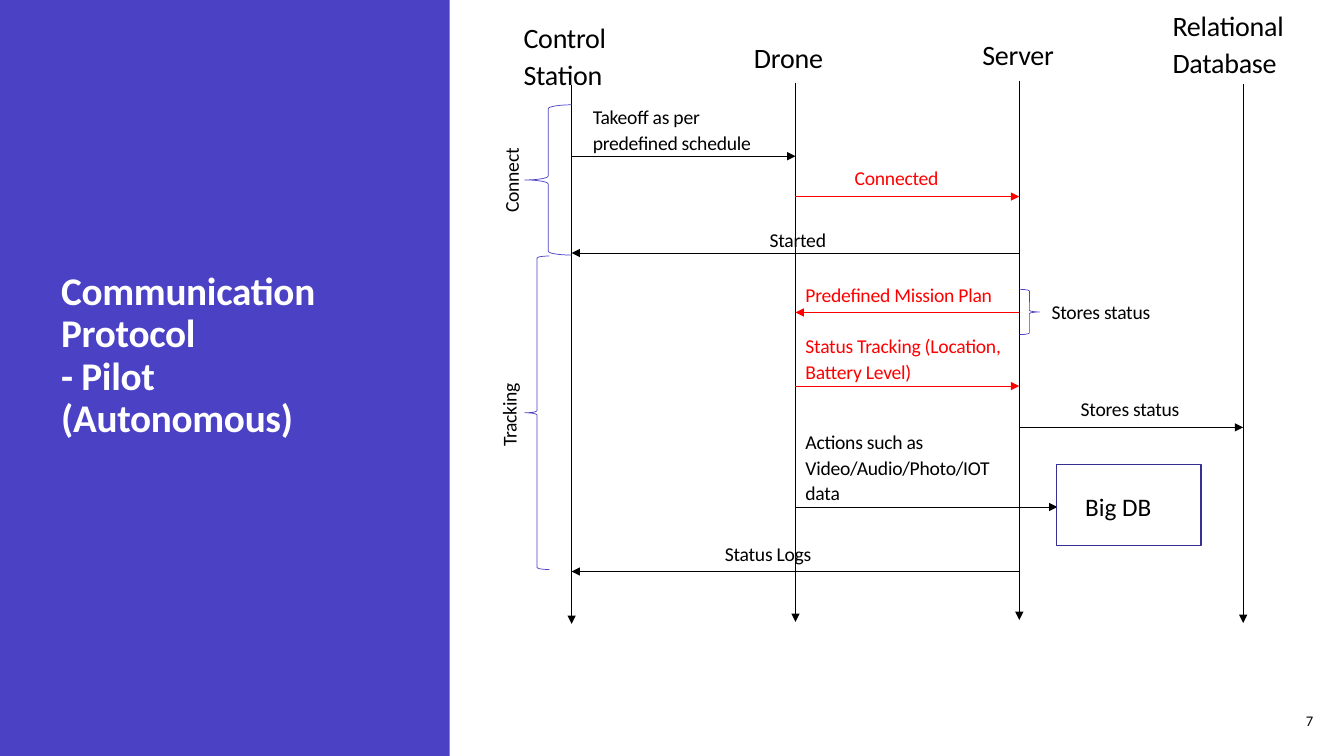
import pptx
import pptx.dml.color
import pptx.enum.shapes
import pptx.enum.text
import pptx.oxml
import pptx.oxml.ns
import pptx.util
from dataclasses import dataclass

SHAPES = pptx.enum.shapes.MSO_SHAPE
ALIGN = pptx.enum.text.PP_ALIGN
ANCHOR = pptx.enum.text.MSO_ANCHOR
AUTOSIZE = pptx.enum.text.MSO_AUTO_SIZE


@dataclass(frozen=True)
class Theme:
    font: str = "Calibri"
    panel: str = "4A41C5"
    box_line: str = "373092"
    ink: str = "000000"
    accent: str = "FF0000"
    paper: str = "FFFFFF"
    title: float = 28
    header: float = 20
    box: float = 18
    label: float = 14
    number: float = 10.5
    hairline: float = 0.5


THEME = Theme()
WIDTH, HEIGHT = 13.33, 7.5
FIRST_LANE, LANE = 5.67, 2.22
ROW = HEIGHT / 75

HEADERS = [
    ("Control Station", -0.26, 1.2, 0.59, 2),
    ("Drone", 0.77, 3.2, 0.45, 1),
    ("Server", 1.79, 2.9, 0.45, 1),
    ("Relational Database", 2.64, 0, 0.69, 2),
]
LIFELINE_TOPS = [8.4, 8.2, 8, 8.3]
LIFELINE_ROWS = 53.5
MESSAGES = [
    (0, 1, 15.5, THEME.ink),
    (1, 2, 19.5, THEME.accent),
    (2, 0, 25.1, THEME.ink),
    (2, 1, 31, THEME.accent),
    (1, 2, 38.3, THEME.accent),
    (2, 3, 42.4, THEME.ink),
    (1, 2.17, 50.3, THEME.ink),
    (2, 0, 56.7, THEME.ink),
]
LABELS = [
    ("Takeoff as per predefined schedule", 0.05, 9.7, 0.94, 2, THEME.ink, 0),
    ("Connected", 1.22, 15.7, 0.54, 1, THEME.accent, 0),
    ("Started", 0.84, 21.9, 0.44, 1, THEME.ink, 0),
    ("Predefined Mission Plan", 1, 27.3, 1.05, 1, THEME.accent, 0),
    ("Status Tracking (Location, Battery Level)", 1, 32.4, 1.05, 2, THEME.accent, 0),
    ("Stores status", 2.1, 29, 0.58, 1, THEME.ink, 0),
    ("Stores status", 2.23, 38.7, 0.58, 1, THEME.ink, 0),
    ("Actions such as Video/Audio/Photo/IOT data", 1, 41.9, 1.05, 3, THEME.ink, 0),
    ("Status Logs", 0.64, 53, 0.58, 1, THEME.ink, 0),
    ("Connect", -0.5, 15.5, 0.44, 1, THEME.ink, 270),
    ("Tracking", -0.51, 38.7, 0.44, 1, THEME.ink, 270),
]
BRACES = [
    (SHAPES.LEFT_BRACE, -0.21, 10.4, 0.21, 14.9),
    (SHAPES.LEFT_BRACE, -0.21, 25.4, 0.11, 31.1),
    (SHAPES.RIGHT_BRACE, 2, 28.7, 0.09, 4.5),
]


def lane_x(lane):
    return pptx.util.Inches(FIRST_LANE + LANE * lane)


def row_y(row):
    return pptx.util.Inches(ROW * row)


def lane_frame(lane, row, lanes, rows):
    return lane_x(lane), row_y(row), pptx.util.Inches(LANE * lanes), row_y(rows)


def share_frame(*shares):
    return [pptx.util.Inches(share * side) for share, side in zip(shares, (WIDTH, HEIGHT) * 2)]


def text_rows(lines, size):
    return (0.08 + lines * size * 0.0184) / ROW


def rgb(colour):
    return pptx.dml.color.RGBColor.from_string(colour)


def set_attributes(target, values):
    for name, value in values.items():
        setattr(target, name, value)


def place(shape, frame):
    set_attributes(shape, dict(zip(("left", "top", "width", "height"), frame)))


def write(shape, text, size, colour=THEME.ink, tracked=True, frame_format=None,
          paragraph_format=None, bold=False):
    set_attributes(shape.text_frame, {
        "word_wrap": True, "auto_size": AUTOSIZE.SHAPE_TO_FIT_TEXT,
        "vertical_anchor": ANCHOR.TOP, **(frame_format or {})})
    shape.text_frame.text = text
    paragraph = shape.text_frame.paragraphs[0]
    set_attributes(paragraph, {"alignment": ALIGN.LEFT, **(paragraph_format or {})})
    for run in paragraph.runs:
        set_attributes(run.font, {"name": THEME.font, "size": pptx.util.Pt(size), "bold": bold})
        run.font.color.rgb = rgb(colour)
        if tracked:
            run.font._element.set("spc", "-20")
    return paragraph


def write_label(shape, text, size, colour=THEME.ink):
    spacing = {"line_spacing": 1.1, "space_before": pptx.util.Pt(10)}
    return write(shape, text, size, colour, paragraph_format=spacing)


def add_outline(slide, preset, frame, line=None, weight=1, fill=None):
    shape = slide.shapes.add_shape(preset, *frame)
    shape.shadow.inherit = False
    for part, colour in ((shape.fill, fill), (shape.line.fill, line)):
        if colour:
            part.solid()
            part.fore_color.rgb = rgb(colour)
        else:
            part.background()
    if line:
        shape.line.width = pptx.util.Pt(weight)
    return shape


def add_arrow(slide, start, end, colour):
    connector = slide.shapes.add_connector(
        pptx.enum.shapes.MSO_CONNECTOR.STRAIGHT, *start, *end)
    connector.line.color.rgb = rgb(colour)
    connector.line.width = pptx.util.Pt(THEME.hairline)
    properties = connector._element.spPr
    line = properties.find(pptx.oxml.ns.qn("a:ln"))
    head = pptx.oxml.ns.qn("a:tailEnd")
    line.append(line.makeelement(head, {"type": "triangle"}))
    properties.append(properties.makeelement(pptx.oxml.ns.qn("a:effectLst"), {}))


def add_title_panel(slide):
    panel = add_outline(slide, SHAPES.RECTANGLE, share_frame(0, 0, 0.3346, 1), fill=THEME.panel)
    panel._element.getparent().insert(2, panel._element)
    title = slide.shapes.title
    place(title, share_frame(0.038, 0.297, 0.263, 0.293))
    write(title, "Communication Protocol\v- Pilot (Autonomous)", THEME.title, THEME.paper,
          frame_format={"auto_size": AUTOSIZE.NONE, "vertical_anchor": ANCHOR.BOTTOM},
          paragraph_format={"line_spacing": 0.9}, bold=True)


def add_headers(slide):
    for index, (text, lane, row, lanes, lines) in enumerate(HEADERS):
        frame = lane_frame(lane, row, lanes, text_rows(lines, THEME.header))
        if index == 0:
            header = slide.placeholders[1]
            place(header, frame)
        else:
            header = slide.shapes.add_textbox(*frame)
        paragraph = write_label(header, text, THEME.header)
        if index == 0:
            properties = paragraph._p.get_or_add_pPr()
            set_plain = {"marL": "0", "indent": "0"}
            for name, value in set_plain.items():
                properties.set(name, value)
            properties.append(properties.makeelement(pptx.oxml.ns.qn("a:buNone"), {}))


def add_big_database(slide):
    add_outline(slide, SHAPES.RECTANGLE, lane_frame(2.167, 46.1, 0.645, 8), THEME.box_line)
    caption = slide.shapes.add_textbox(*lane_frame(2.25, 48.3, 0.47, 4))
    write(caption, "Big DB", THEME.box, tracked=False)


def main():
    presentation = pptx.Presentation()
    set_attributes(presentation, {"slide_width": pptx.util.Inches(WIDTH),
                                  "slide_height": pptx.util.Inches(HEIGHT)})
    slide = presentation.slides.add_slide(presentation.slide_layouts[1])
    add_title_panel(slide)
    add_headers(slide)
    for lane, top in enumerate(LIFELINE_TOPS):
        add_arrow(slide, (lane_x(lane), row_y(top)),
                  (lane_x(lane), row_y(top + LIFELINE_ROWS)), THEME.ink)
    for start, end, row, colour in MESSAGES:
        add_arrow(slide, (lane_x(start), row_y(row)), (lane_x(end), row_y(row)), colour)
    for text, lane, row, lanes, lines, colour, rotation in LABELS:
        frame = lane_frame(lane, row, lanes, text_rows(lines, THEME.label))
        label = slide.shapes.add_textbox(*frame)
        label.rotation = rotation
        write_label(label, text, THEME.label, colour)
    for preset, *cells in BRACES:
        add_outline(slide, preset, lane_frame(*cells), THEME.panel, THEME.hairline)
    add_big_database(slide)
    number = slide.shapes.add_textbox(*share_frame(0.9325, 0.927, 0.052, 0.053))
    write(number, "7", THEME.number, tracked=False,
          frame_format={"auto_size": AUTOSIZE.NONE, "vertical_anchor": ANCHOR.MIDDLE},
          paragraph_format={"alignment": ALIGN.RIGHT})
    presentation.save("out.pptx")


if __name__ == "__main__":
    main()
